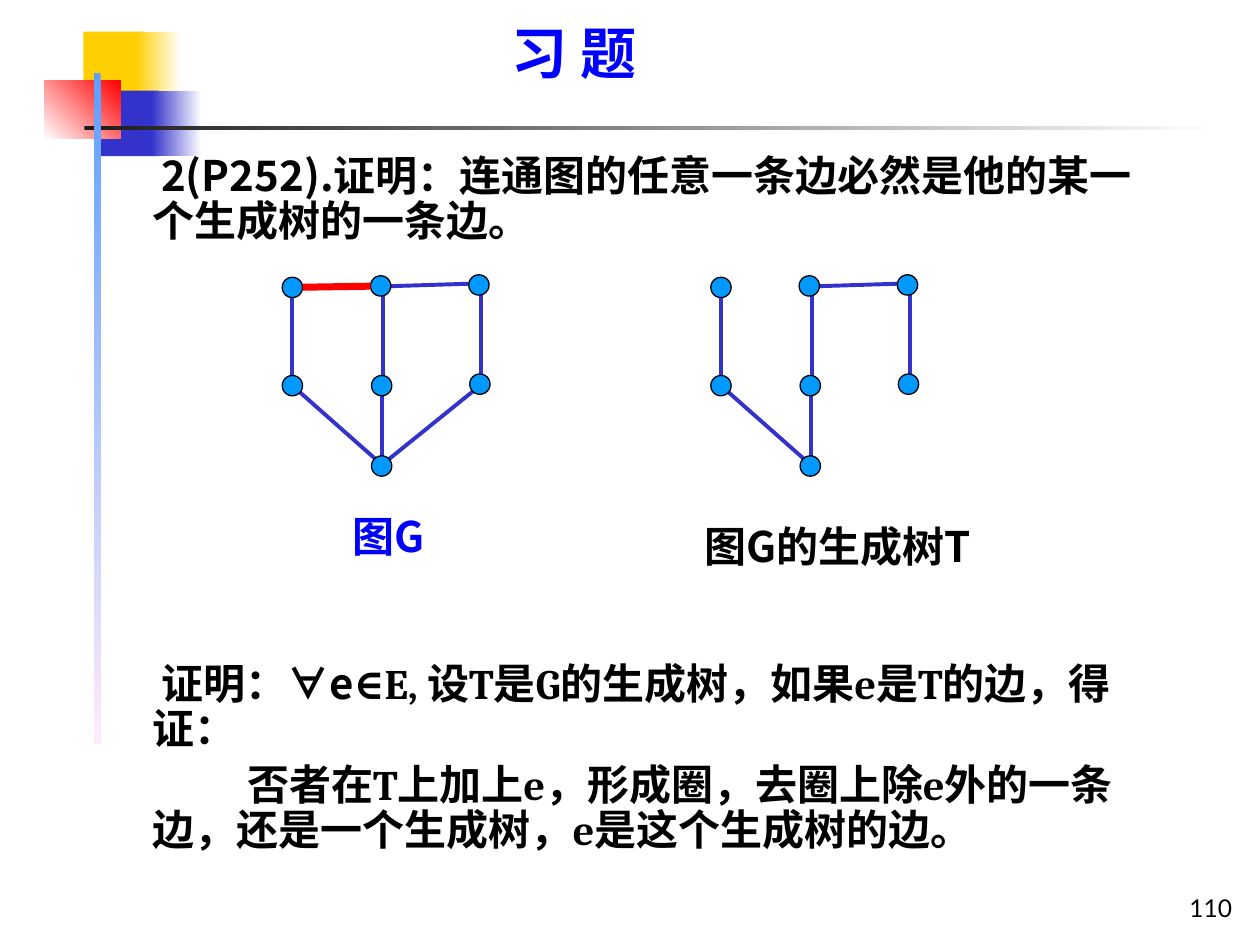
import pptx
import pptx.dml.color
import pptx.enum.shapes
import pptx.enum.text
import pptx.oxml
import pptx.oxml.ns
import pptx.util
from pptx.util import Cm

COLORS = {
    "black": "000000", "white": "FFFFFF", "heading": "0000FF",
    "edge": "3333CC", "chosen": "FF0000", "node": "0099FF",
    "yellow": "FFCF01", "indigo": "3333CC", "red": "FF0000",
    "charcoal": "1C1C1C", "sky": "5E9EFF", "blush": "FFEBFA",
}
SANS, SERIF = "Noto Sans CJK SC", "Cambria"
SHAPES = pptx.enum.shapes.MSO_SHAPE
ALIGN = pptx.enum.text.PP_ALIGN
ANCHOR = pptx.enum.text.MSO_ANCHOR

NODE_SIZE = 0.41
NODES = [(5.69, 5.59), (9.45, 5.54), (5.69, 7.57), (9.47, 7.54),
         (7.49, 9.19), (7.47, 5.56), (7.49, 7.57)]
TREE_EDGES = [
    (7.70, 7.77, 7.70, 9.37), (5.89, 5.77, 5.89, 7.57),
    (9.70, 5.77, 9.70, 7.77), (5.89, 7.77, 7.70, 9.37),
    (7.72, 5.82, 7.72, 7.80), (7.87, 5.77, 9.45, 5.72),
]
CLOSING_EDGE = (9.68, 7.77, 7.70, 9.37)
CHOSEN_EDGE = (6.10, 5.79, 7.47, 5.77)
TREE_SHIFT = 8.64


def rgb(name):
    return pptx.dml.color.RGBColor.from_string(COLORS[name])


def add_xml(parent, tag, **attributes):
    element = pptx.oxml.parse_xml(f"<a:{tag} {pptx.oxml.ns.nsdecls('a')}/>")
    for key, value in attributes.items():
        element.set(key, value)
    parent.append(element)


class SlideStyle:
    def __init__(self, page):
        self.page = page

    def band(self, at, color, fade_to=None, angle=0):
        """Decorative rectangle, plain or fading; the angle runs anticlockwise."""
        box = self.page.shapes.add_shape(SHAPES.RECTANGLE, *map(Cm, at))
        box.shadow.inherit = False
        box.line.fill.background()
        if fade_to is None:
            box.fill.solid()
            box.fill.fore_color.rgb = rgb(color)
            return
        box.fill.gradient()
        box.fill.gradient_angle = angle
        for stop, name in zip(box.fill.gradient_stops, (color, fade_to)):
            stop.color.rgb = rgb(name)

    def edge(self, ends, shift=0, color="edge", width=2.25):
        x1, y1, x2, y2 = ends
        line = self.page.shapes.add_connector(
            pptx.enum.shapes.MSO_CONNECTOR.STRAIGHT,
            Cm(x1 + shift), Cm(y1), Cm(x2 + shift), Cm(y2))
        line.line.color.rgb = rgb(color)
        line.line.width = pptx.util.Pt(width)
        add_xml(line._element.spPr, "effectLst")

    def node(self, left, top):
        dot = self.page.shapes.add_shape(
            SHAPES.OVAL, Cm(left), Cm(top), Cm(NODE_SIZE), Cm(NODE_SIZE))
        dot.shadow.inherit = False
        dot.fill.solid()
        dot.fill.fore_color.rgb = rgb("node")
        dot.line.color.rgb = rgb("black")
        dot.line.width = pptx.util.Pt(0.75)

    def graph(self, edges, shift=0):
        for ends in edges:
            self.edge(ends, shift)
        for left, top in NODES:
            self.node(left + shift, top)

    def frame(self, box, at, wrap=True, anchor=ANCHOR.TOP, margins=(0, 0)):
        box.left, box.top, box.width, box.height = map(Cm, at)
        frame = box.text_frame
        frame.auto_size = pptx.enum.text.MSO_AUTO_SIZE.NONE
        frame.word_wrap = wrap
        frame.vertical_anchor = anchor
        frame.margin_left = frame.margin_right = Cm(margins[0])
        frame.margin_top = frame.margin_bottom = Cm(margins[1])
        return frame

    def paragraph(self, para, spans, size=24, color="black", font=SANS, bold=True,
                  spacing=0.9, align=ALIGN.LEFT, margin=0, indent=0, before=0):
        """Fill a paragraph from (text, font) spans; font None keeps its own."""
        para.alignment = align
        para.line_spacing = spacing
        para.space_before = pptx.util.Pt(before)
        properties = para._p.get_or_add_pPr()
        properties.set("marL", str(Cm(margin)))
        properties.set("indent", str(Cm(indent)))
        add_xml(properties, "buNone")
        para.font.size = pptx.util.Pt(size)
        para.font.bold = bold
        para.font.color.rgb = rgb(color)
        para.font.name = font
        add_xml(properties.find(pptx.oxml.ns.qn("a:defRPr")), "ea", typeface=SANS)
        for text, span_font in spans:
            span = para.add_run()
            span.text = text
            if span_font:
                span.font.name = span_font

    def title(self, text, at):
        frame = self.frame(self.page.shapes.title, at, wrap=False)
        self.paragraph(frame.paragraphs[0], [(text, None)], size=32, color="heading")

    def body(self, index, at, paragraphs):
        """Fill a body placeholder from (first line indent, font, spans) items."""
        frame = self.frame(self.page.placeholders[index], at)
        for number, (indent, font, spans) in enumerate(paragraphs):
            para = frame.add_paragraph() if number else frame.paragraphs[0]
            self.paragraph(para, spans, font=font, margin=0.97, indent=indent,
                           before=6 if number else 0)

    def label(self, text, at, anchor=ANCHOR.TOP, margins=(0, 0), **style):
        box = self.page.shapes.add_textbox(*map(Cm, at))
        frame = self.frame(box, at, anchor=anchor, margins=margins)
        self.paragraph(frame.paragraphs[0], [(text, None)], **style)


def main():
    deck = pptx.Presentation()
    deck.slide_width, deck.slide_height = Cm(25.4), Cm(19.05)
    style = SlideStyle(deck.slides.add_slide(deck.slide_layouts[3]))

    style.band((1.68, 0.64, 1.22, 1.32), "yellow")
    style.band((2.74, 0.64, 0.91, 1.32), "yellow", "white")
    style.band((2.03, 1.83, 1.17, 1.32), "indigo")
    style.band((3.05, 1.83, 1.02, 1.32), "indigo", "white")
    style.band((0.89, 1.63, 1.55, 1.17), "white", "red", angle=45)
    style.band((1.70, 2.54, 22.86, 0.08), "charcoal", "white")
    style.band((1.90, 1.47, 0.13, 13.54), "sky", "blush", angle=270)

    style.title("习 题", (10.31, 0.53, 3.40, 1.22))
    style.body(1, (2.11, 3.12, 21.01, 1.83), [
        (0.17, SANS, [("2(P252).证明：连通图的任意一条边必然是他的某一个生成树的一条边。", None)]),
    ])
    style.body(2, (2.11, 13.36, 21.01, 4.78), [
        (0.17, SERIF, [("证明：", SANS), ("∀", "Arial"), ("e", SANS),
                       ("∈E, 设T是G的生成树，如果e是T的边，得证：", None)]),
        (1.90, SERIF, [("否者在T上加上e，形成圈，去圈上除e外的一条边，还是一个生成树，e是这个生成树的边。", None)]),
    ])

    style.graph(TREE_EDGES + [CLOSING_EDGE])
    style.edge(CHOSEN_EDGE, color="chosen", width=4)
    style.graph(TREE_EDGES, TREE_SHIFT)
    style.label("图G", (7.11, 10.41, 1.80, 0.91), color="heading")
    style.label("图G的生成树T", (14.20, 10.19, 6.50, 1.32), spacing=1.3)
    style.label("110", (19.81, 17.45, 5.28, 1.27), anchor=ANCHOR.BOTTOM,
                margins=(0.25, 0.13), size=14, font="Lato", bold=False,
                spacing=1.0, align=ALIGN.RIGHT)
    deck.save("out.pptx")


if __name__ == "__main__":
    main()
